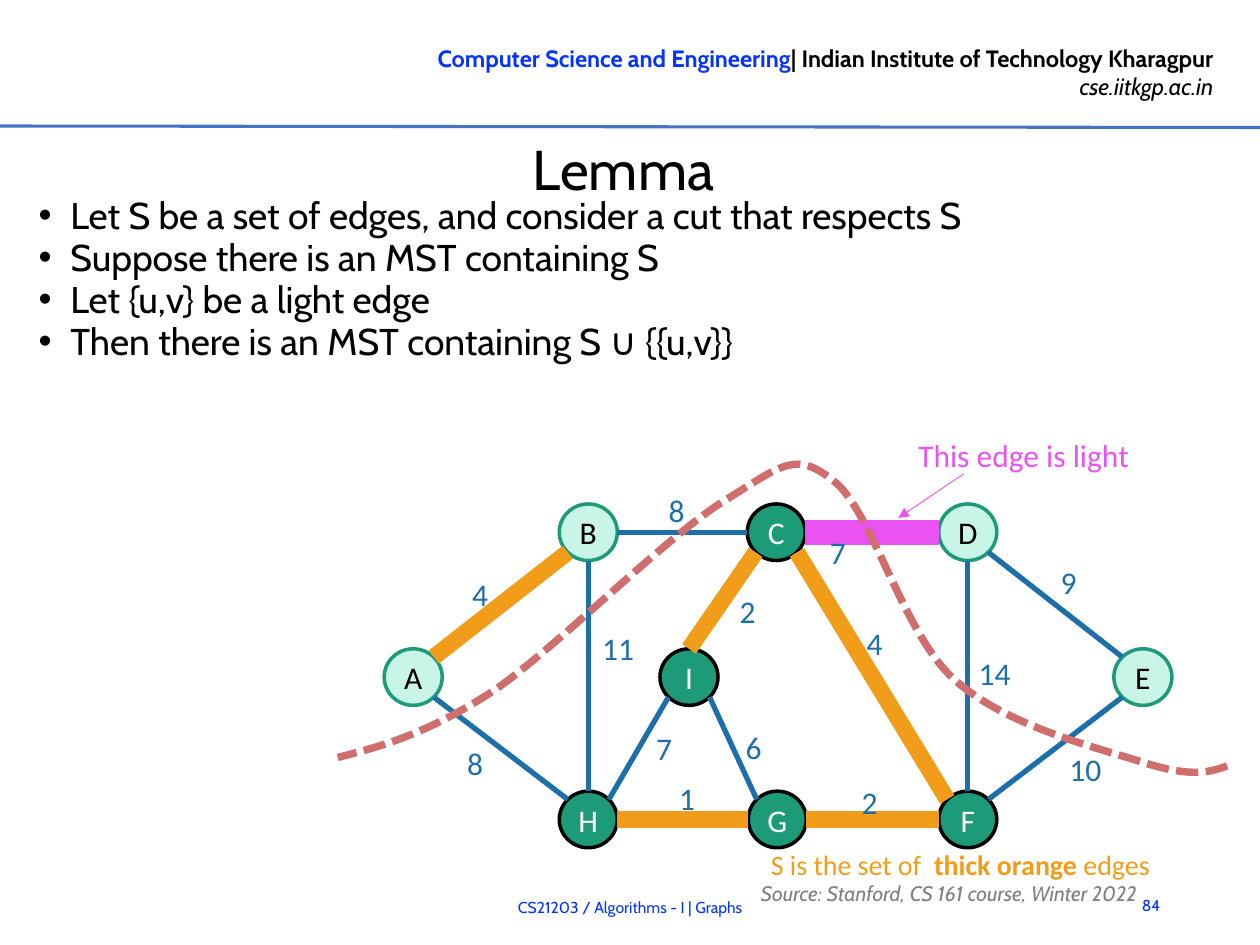
"""Build the slide on the light-edge lemma for minimum spanning trees."""
import lxml.etree
import pptx
import pptx.dml.color
import pptx.enum.dml
import pptx.enum.shapes
import pptx.enum.text
import pptx.oxml.ns
import pptx.util

Cm = pptx.util.Cm
Pt = pptx.util.Pt
qn = pptx.oxml.ns.qn
ALIGN = pptx.enum.text.PP_ALIGN
MIDDLE = pptx.enum.text.MSO_ANCHOR.MIDDLE
KINDS = pptx.enum.shapes

BLUE, BLACK, GRAY = "0432FF", "000000", "808080"
EDGE, ORANGE, PINK, RED = "1D6FA9", "F19D19", "EA53F1", "CF6E6C"
MINT, GREEN, WHITE = "C8F5E8", "1D9A78", "FFFFFF"
WIDE, HIGH = 1.17, 1.14


def hue(code):
    return pptx.dml.color.RGBColor.from_string(code)


def apply(target, values):
    for name, value in values.items():
        setattr(target, name, value)


class Deck:
    """Holds the text style and the current slide, and draws on it."""

    def __init__(self, slide):
        self.slide = slide
        self.style = {"name": "Calibri", "size": Pt(18)}

    def fill_text(self, frame, rows, color, align=None, para=None, bullet=False, **font):
        for i, row in enumerate(rows):
            par = frame.paragraphs[0] if i == 0 else frame.add_paragraph()
            if bullet:
                props = par._p.get_or_add_pPr()
                props.set("marL", str(Cm(0.64)))
                props.set("indent", str(-Cm(0.64)))
                lxml.etree.SubElement(props, qn("a:buFont")).set("typeface", "Arial")
                lxml.etree.SubElement(props, qn("a:buChar")).set("char", "•")
            par.alignment = align
            apply(par, para or {})
            if i == 0:
                par.space_before = Pt(0)
            for words, extra in row:
                run = par.add_run()
                run.text = words
                look = {**self.style, **font, **extra}
                run.font.color.rgb = hue(look.pop("color", color))
                apply(run.font, look)

    def text(self, box, rows, color, frame=None, **kw):
        shape = self.slide.shapes.add_textbox(*map(Cm, box))
        apply(shape.text_frame, {"word_wrap": True, **(frame or {})})
        if isinstance(rows, str):
            rows = [[(rows, {})]]
        self.fill_text(shape.text_frame, rows, color, **kw)

    def line(self, start, end, color, width, arrow=False):
        link = self.slide.shapes.add_connector(
            KINDS.MSO_CONNECTOR.STRAIGHT, *map(Cm, (*start, *end)))
        link.line.color.rgb = hue(color)
        link.line.width = Pt(width)
        if arrow:
            tail = lxml.etree.SubElement(link.line._get_or_add_ln(), qn("a:tailEnd"))
            tail.set("type", "triangle")
        lxml.etree.SubElement(link._element.spPr, qn("a:effectLst"))

    def node(self, name, x, y, dark):
        shape = self.slide.shapes.add_shape(
            KINDS.MSO_SHAPE.OVAL, Cm(x - WIDE / 2), Cm(y - HIGH / 2), Cm(WIDE), Cm(HIGH))
        shape.shadow.inherit = False
        shape.fill.solid()
        shape.fill.fore_color.rgb = hue(GREEN if dark else MINT)
        shape.line.color.rgb = hue(BLACK if dark else GREEN)
        shape.line.width = Pt(2)
        apply(shape.text_frame, {"word_wrap": False, "vertical_anchor": MIDDLE})
        self.fill_text(shape.text_frame, [[(name, {})]], WHITE if dark else BLACK,
                       align=ALIGN.CENTER)

    def curve(self, points, color, width):
        spots = [(Cm(x), Cm(y)) for x, y in points]
        form = self.slide.shapes.build_freeform(*spots[0])
        form.add_line_segments(spots[1:], close=False)
        shape = form.convert_to_shape()
        shape.shadow.inherit = False
        shape.fill.background()
        shape.line.color.rgb = hue(color)
        shape.line.width = Pt(width)
        shape.line.dash_style = pptx.enum.dml.MSO_LINE.SQUARE_DOT
        steps = list(shape._element.iter(qn("a:lnTo")))
        trail = steps[0].getparent()
        for i in range(0, len(steps), 3):
            bend = lxml.etree.SubElement(trail, qn("a:cubicBezTo"))
            for step in steps[i:i + 3]:
                bend.append(step[0])
                trail.remove(step)


def rim(center, way):
    dx, dy = way
    part = 0.71 if dx and dy else 1
    return center[0] + dx * part * WIDE / 2, center[1] + dy * part * HIGH / 2


def sign(value):
    return (value > 0) - (value < 0)


TOP, MID, LOW = 10.73, 13.65, 16.52
NODES = {
    "D": (19.51, TOP), "C": (15.65, TOP), "B": (11.86, TOP), "A": (8.33, MID),
    "H": (11.86, LOW), "G": (15.67, LOW), "F": (19.51, LOW), "I": (13.89, MID),
    "E": (23.04, MID),
}
THIN, THICK, LIGHT = (EDGE, 3), (ORANGE, 9.5), (PINK, 14)
EDGES = [
    ("CF", THICK, "4", (17.22, 12.45)), ("CD", LIGHT, "7", (16.48, 10.62)),
    ("ED", THIN, "9", (21.13, 11.23)), ("EF", THIN, "10", (21.31, 14.99)),
    ("DF", THIN, "14", (19.48, 13.06)), ("IG", THIN, "6", (14.78, 14.55)),
    ("GF", THICK, "2", (17.12, 15.67)), ("IC", THICK, "2", (14.66, 11.81)),
    ("BC", THIN, "8", (13.23, 9.78)), ("AB", THICK, "4", (9.27, 11.46)),
    ("AH", THIN, "8", (9.17, 14.88)), ("GH", THICK, "1", (13.44, 15.57)),
    ("IH", THIN, "7", (12.98, 14.58)), ("HB", THIN, "11", (11.89, 12.55)),
]
STARTS = {"IC": (0, -1)}
CUT = [
    (24.74, 15.44), (24.38, 15.57), (24.03, 15.67), (23.11, 15.39),
    (22.2, 15.09), (20.29, 14.66), (19.23, 13.69), (18.19, 12.75),
    (17.58, 10.29), (16.81, 9.7), (16.05, 9.09), (15.8, 9.35),
    (14.66, 10.06), (13.51, 10.74), (11.25, 13.03), (9.96, 13.92),
    (8.64, 14.78), (7.72, 15.04), (6.81, 15.27),
]
POINTS = [
    "Let S be a set of edges, and consider a cut that respects S",
    "Suppose there is an MST containing S",
    "Let {u,v} be a light edge",
    "Then there is an MST containing S ∪ {{u,v}}",
]


def main():
    show = pptx.Presentation()
    apply(show, {"slide_width": Cm(25.4), "slide_height": Cm(19.05)})
    deck = Deck(show.slides.add_slide(show.slide_layouts[6]))
    cabin = {"name": "Cabin"}
    center = {"vertical_anchor": MIDDLE}

    deck.text((6.73, 0.76, 17.98, 1.42), [
        [("Computer Science and Engineering", {"color": BLUE, "bold": True}),
         ("| Indian Institute of Technology Kharagpur", {"bold": True})],
        [("cse.iitkgp.ac.in", {"italic": True})],
    ], BLACK, align=ALIGN.RIGHT, size=Pt(13.5), **cabin)
    deck.line((0, 2.54), (25.4, 2.57), "4472C4", 1.75)
    deck.text((22.4, 17.73, 1.24, 1.02), "84", BLUE, center,
              align=ALIGN.RIGHT, size=Pt(9), **cabin)
    flush = {"margin_left": 0, "margin_top": Cm(0.03), "margin_right": 0, "margin_bottom": 0}
    deck.text((0.81, 2.67, 23.52, 1.4), "Lemma", BLACK, {**center, **flush},
              align=ALIGN.CENTER, size=Pt(32), **cabin)
    deck.text((4.19, 17.78, 17.02, 1.02), "CS21203 / Algorithms - I | Graphs", BLUE,
              center, align=ALIGN.CENTER, size=Pt(9), **cabin)
    gaps = {"line_spacing": Pt(20), "space_before": Pt(2), "space_after": Pt(2)}
    deck.text((0.53, 3.95, 23.8, 3.66), [[(point, {})] for point in POINTS], BLACK,
              para=gaps, bullet=True, size=Pt(21.3), **cabin)
    deck.text((15.09, 17.6, 10.21, 0.58), "Source: Stanford, CS 161 course, Winter 2022",
              GRAY, center, para={"line_spacing": Pt(21.3)}, size=Pt(12), italic=True, **cabin)
    deck.text((15.29, 16.97, 9.27, 0.94), [
        [("S is the set of  ", {}), ("thick orange ", {"bold": True}), ("edges", {})],
    ], ORANGE, size=Pt(16))

    for name, (x, y) in NODES.items():
        deck.node(name, x, y, name in "CFGHI")
    for ends, look, _, _ in EDGES:
        a, b = (NODES[end] for end in ends)
        way = sign(b[0] - a[0]), sign(b[1] - a[1])
        back = -way[0], -way[1]
        deck.line(rim(a, STARTS.get(ends, way)), rim(b, back), *look)
    for _, _, weight, spot in EDGES:
        deck.text((*spot, 1.65, 0.94), weight, EDGE)
    deck.curve(CUT, RED, 4.25)
    deck.text((18.26, 8.66, 6.93, 1.02), "This edge is light", PINK)
    deck.line((19.43, 9.55), (18.11, 10.44), PINK, 0.5, arrow=True)
    show.save("out.pptx")


if __name__ == "__main__":
    main()
